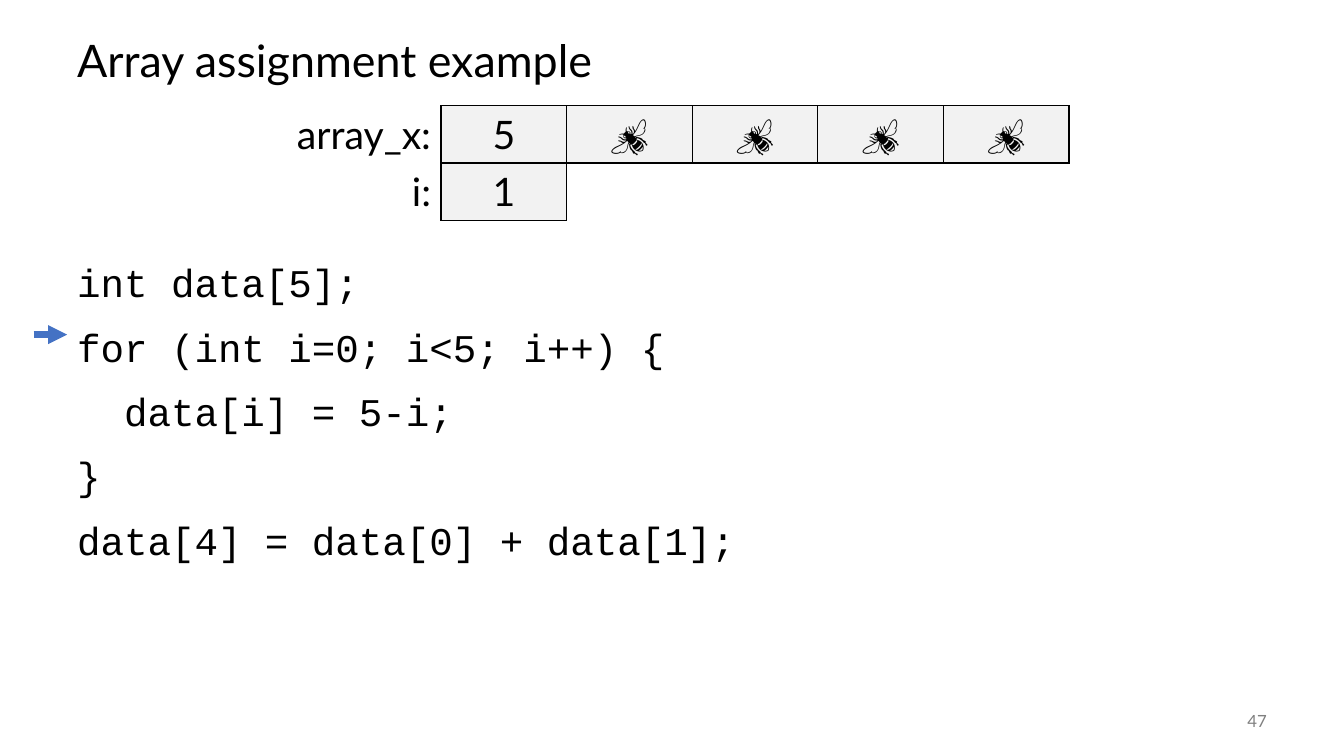
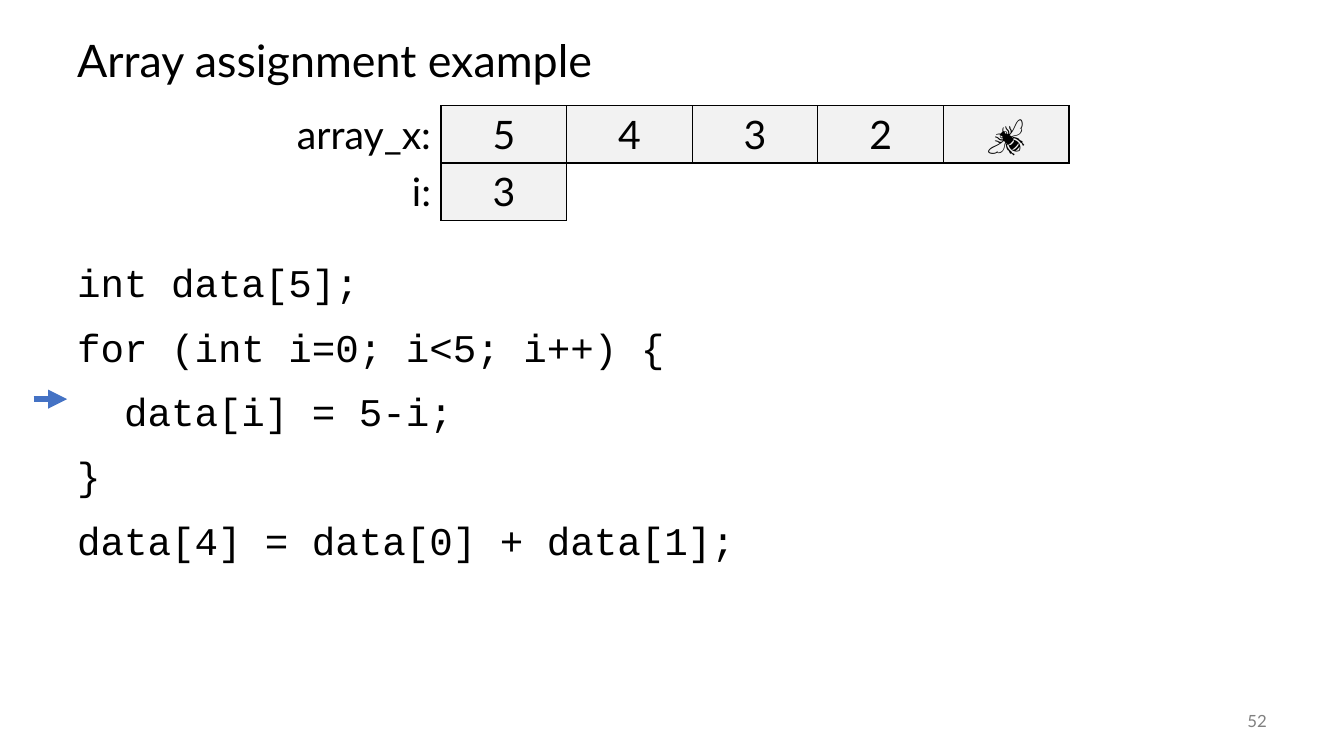
import pptx
import pptx.util
import pptx.dml.color
import pptx.enum.shapes
import pptx.enum.text
import pptx.oxml
import pptx.oxml.ns
from dataclasses import dataclass

PP = pptx.enum.text.PP_ALIGN
MIDDLE = pptx.enum.text.MSO_ANCHOR.MIDDLE
TOP = pptx.enum.text.MSO_ANCHOR.TOP
NS = pptx.oxml.ns.nsdecls("a")

SLIDE_W, SLIDE_H = pptx.util.Inches(13.33), pptx.util.Inches(7.5)
COL, ROW = SLIDE_W / 20, SLIDE_H / 30  # layout grid


@dataclass(frozen=True)
class Theme:
    font: str = "Lato"
    mono: str = "Courier New"
    ink: str = "000000"
    muted: str = "808080"
    cell: str = "F2F2F2"
    accent: str = "4472C4"
    title_size: int = 32
    body_size: int = 28
    number_size: int = 12
    border: int = 1
    arrow: float = 4.5


T = Theme()


@dataclass(frozen=True)
class Box:
    """A region measured in grid columns and rows."""
    col: float
    row: float
    cols: float
    rows: float

    def emu(self):
        return (int(self.col * COL), int(self.row * ROW),
                int(self.cols * COL), int(self.rows * ROW))


TITLE = Box(1, 1, 18, 3)
MEMORY = Box(4.08, 4.2, 11.83, 4.52)
CODE = Box(1, 10.28, 18, 16.7)
NUMBER = Box(17.5, 27.8, 1.5, 1.6)
LABEL_SHARE = 0.21  # label column, share of the memory table

BEE = "🐝"
SOURCE = [
    "int data[5];",
    "for (int i=0; i<5; i++) {",
    "  data[i] = 5-i;",
    "}",
    "data[4] = data[0] + data[1];",
]


def rgb(color):
    return pptx.dml.color.RGBColor.from_string(color)


def write(p, text, size=T.body_size, font=T.font, color=T.ink,
          align=PP.LEFT, leading=None, before=0):
    p.alignment = align
    if leading:
        p.line_spacing = leading
    p.space_before = pptx.util.Pt(before)
    r = p.add_run()
    r.text = text
    r.font.name, r.font.size = font, pptx.util.Pt(size)
    r.font.color.rgb = rgb(color)


def text_frame(s, box, anchor=MIDDLE):
    tf = s.shapes.add_textbox(*box.emu()).text_frame
    tf.word_wrap = True
    tf.vertical_anchor = anchor
    return tf


def set_borders(cell, drawn):
    """Draw the named sides (L, R, T, B) and clear the others."""
    pr = cell._tc.get_or_add_tcPr()
    for i, side in enumerate("LRTB"):
        paint = (f'<a:solidFill><a:srgbClr val="{T.ink}"/></a:solidFill>'
                 if side in drawn else "<a:noFill/>")
        width = pptx.util.Pt(T.border)
        pr.insert(i, pptx.oxml.parse_xml(
            f'<a:ln{side} {NS} w="{width}">{paint}</a:ln{side}>'))


def add_title(s, box, text):
    write(text_frame(s, box).paragraphs[0], text,
          size=T.title_size, leading=0.9)


def add_number(s, box, number):
    write(text_frame(s, box).paragraphs[0], str(number),
          size=T.number_size, color=T.muted, align=PP.RIGHT)


def add_memory(s, box, variables):
    """Table with one variable per row: its label, then its values."""
    x, y, w, h = box.emu()
    values = max(len(v) for v in variables.values())
    table = s.shapes.add_table(len(variables), values + 1, x, y, w, h).table
    table.first_row = table.horz_banding = False
    for i, column in enumerate(table.columns):
        share = LABEL_SHARE if i == 0 else (1 - LABEL_SHARE) / values
        column.width = int(w * share)

    rows = [[label, *vals] for label, vals in variables.items()]

    def holds_value(i, j):
        return 0 <= i < len(rows) and 0 < j < len(rows[i])

    for i, row in enumerate(rows):
        for j in range(values + 1):
            cell = table.cell(i, j)
            if holds_value(i, j):
                cell.fill.solid()
                cell.fill.fore_color.rgb = rgb(T.cell)
            else:
                cell.fill.background()
            # An edge shows when a value lies on either side of it
            sides = {"L": (i, j - 1), "R": (i, j + 1),
                     "T": (i - 1, j), "B": (i + 1, j)}
            set_borders(cell, [k for k, near in sides.items()
                               if holds_value(i, j) or holds_value(*near)])
            if j < len(row):
                write(cell.text_frame.paragraphs[0], row[j],
                      align=PP.CENTER if j else PP.RIGHT)


def add_code(s, box, lines, current):
    """Code listing with an arrow at the current line."""
    tf = text_frame(s, box, TOP)
    for i, line in enumerate(lines):
        p = tf.add_paragraph() if i else tf.paragraphs[0]
        write(p, line, font=T.mono, leading=0.9, before=15.7 if i else 0)

    x = box.emu()[0]
    y = int((box.row + 0.44 + 2.56 * current) * ROW)
    arrow = s.shapes.add_connector(
        pptx.enum.shapes.MSO_CONNECTOR.STRAIGHT, x - int(COL / 2), y, x, y)
    arrow.line.color.rgb = rgb(T.accent)
    arrow.line.width = pptx.util.Pt(T.arrow)
    arrow.line._get_or_add_ln().append(
        pptx.oxml.parse_xml(f'<a:tailEnd {NS} type="triangle"/>'))
    arrow._element.spPr.append(pptx.oxml.parse_xml(f"<a:effectLst {NS}/>"))


def add_step(prs, number, array, i, current):
    """One step of the program: memory above, code below."""
    s = prs.slides.add_slide(prs.slide_layouts[6])
    add_title(s, TITLE, "Array assignment example")
    add_code(s, CODE, SOURCE, current)
    add_number(s, NUMBER, number)
    add_memory(s, MEMORY, {"array_x:": array, "i:": [i]})


def main():
    prs = pptx.Presentation()
    prs.slide_width, prs.slide_height = SLIDE_W, SLIDE_H
    add_step(prs, 47, ["5", BEE, BEE, BEE, BEE], "1", current=1)
    add_step(prs, 52, ["5", "4", "3", "2", BEE], "3", current=2)
    prs.save("out.pptx")


if __name__ == "__main__":
    main()
